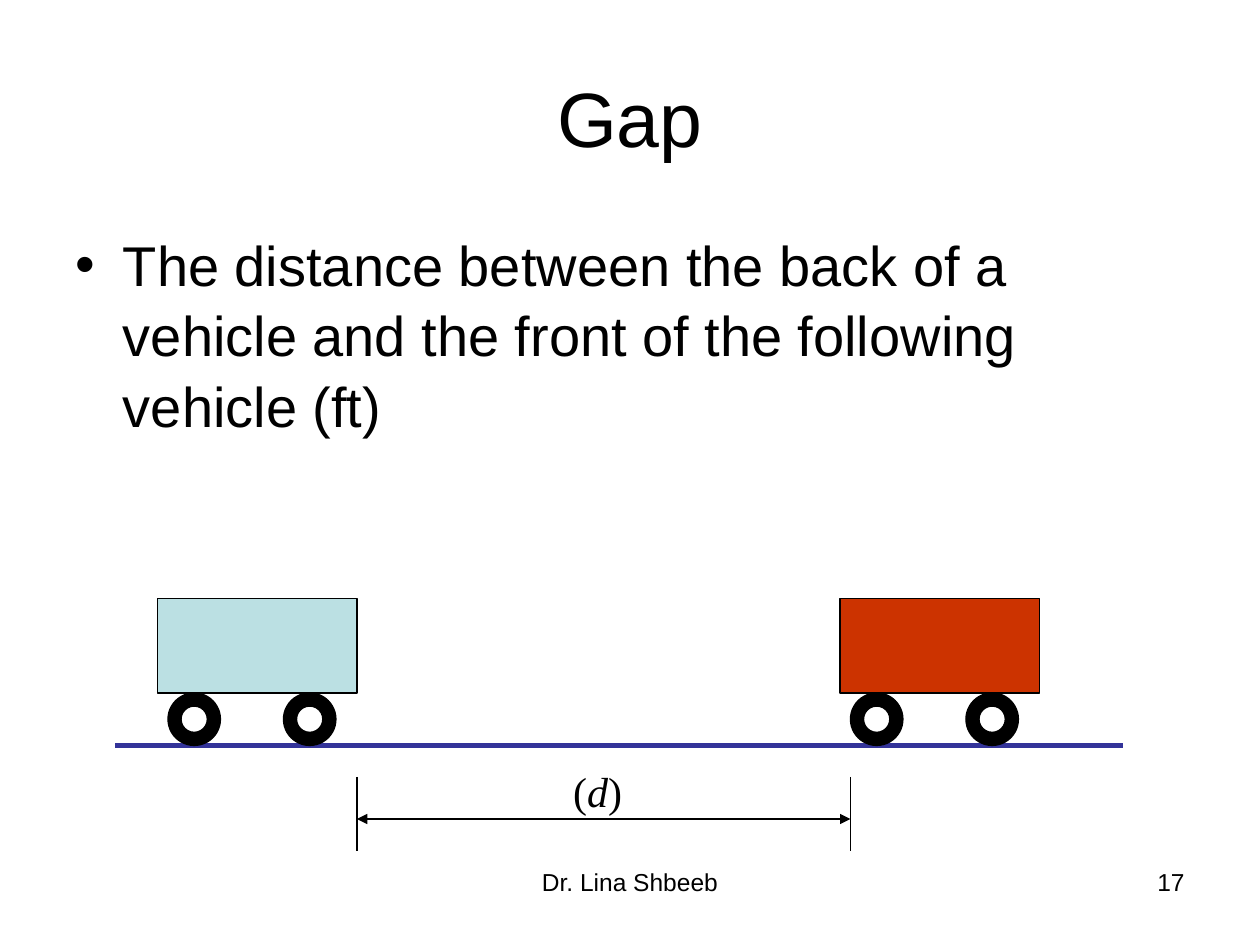
from dataclasses import dataclass

from lxml.etree import SubElement
from pptx import Presentation
from pptx.dml.color import RGBColor
from pptx.enum.shapes import MSO_CONNECTOR, MSO_SHAPE
from pptx.enum.text import MSO_ANCHOR, MSO_AUTO_SIZE, PP_ALIGN
from pptx.oxml.ns import qn
from pptx.util import Pt


@dataclass(frozen=True)
class Theme:
    ink: str = "000000"
    road: str = "333399"
    leader: str = "BBE0E3"
    follower: str = "CC3300"
    sans: str = "Arial"
    serif: str = "Times New Roman"
    title_size: float = 44
    body_size: float = 32
    label_size: float = 24
    footer_size: float = 14
    thin: float = 0.75
    thick: float = 3


def apply(target, values):
    for name, value in values.items():
        setattr(target, name, value)


class SlideBuilder:
    def __init__(self, slide, theme):
        self.slide = slide
        self.theme = theme

    def format_text(self, frame, size, font, align, anchor=MSO_ANCHOR.TOP, spacing=None):
        apply(frame, {"word_wrap": True, "auto_size": MSO_AUTO_SIZE.NONE,
                      "vertical_anchor": anchor})
        paragraph = frame.paragraphs[0]
        apply(paragraph, {"alignment": align, "space_before": Pt(0),
                          "line_spacing": spacing})
        for run in paragraph.runs:
            apply(run.font, {"size": Pt(size), "name": font})
            run.font.color.rgb = RGBColor.from_string(self.theme.ink)

    def place(self, placeholder, left, top, width, height):
        apply(placeholder, {"left": Pt(left), "top": Pt(top),
                            "width": Pt(width), "height": Pt(height)})

    def title(self, text, box):
        heading = self.slide.shapes.title
        self.place(heading, *box)
        heading.text_frame.text = text
        self.format_text(heading.text_frame, self.theme.title_size, self.theme.sans,
                         PP_ALIGN.CENTER, MSO_ANCHOR.MIDDLE)

    def bullet(self, text, box, indent):
        body = self.slide.placeholders[1]
        self.place(body, *box)
        body.text_frame.text = text
        properties = body.text_frame.paragraphs[0]._p.get_or_add_pPr()
        properties.set("marL", str(Pt(indent)))
        properties.set("indent", str(-Pt(indent)))
        SubElement(properties, qn("a:buChar")).set("char", "•")
        self.format_text(body.text_frame, self.theme.body_size, self.theme.sans,
                         PP_ALIGN.LEFT, spacing=1.05)

    def text(self, parts, box, size, font, align):
        """Add one line of text from (words, italic) parts."""
        frame = self.slide.shapes.add_textbox(*map(Pt, box)).text_frame
        for words, italic in parts:
            run = frame.paragraphs[0].add_run()
            run.text = words
            run.font.italic = italic
        self.format_text(frame, size, font, align)

    def shape(self, preset, box, fill):
        shape = self.slide.shapes.add_shape(preset, *map(Pt, box))
        shape.shadow.inherit = False
        shape.fill.solid()
        shape.fill.fore_color.rgb = RGBColor.from_string(fill)
        shape.line.color.rgb = RGBColor.from_string(self.theme.ink)
        shape.line.width = Pt(self.theme.thin)
        return shape

    def line(self, start, end, color, width, arrows=False):
        line = self.slide.shapes.add_connector(
            MSO_CONNECTOR.STRAIGHT, *map(Pt, (*start, *end)))
        line.line.color.rgb = RGBColor.from_string(color)
        line.line.width = Pt(width)
        if arrows:
            for end_tag in ("a:headEnd", "a:tailEnd"):
                SubElement(line.line._get_or_add_ln(), qn(end_tag)).set("type", "triangle")
        SubElement(line._element.spPr, qn("a:effectLst"))

    def vehicle(self, left, top, color):
        width, height, wheel = 114, 54, 30
        self.shape(MSO_SHAPE.RECTANGLE, (left, top, width, height), color)
        for offset in (6, 72):
            tyre = self.shape(MSO_SHAPE.DONUT,
                              (left + offset, top + height, wheel, wheel), self.theme.ink)
            tyre.adjustments[0] = 0.25


def main():
    theme = Theme()
    presentation = Presentation()
    apply(presentation, {"slide_width": Pt(720), "slide_height": Pt(540)})
    builder = SlideBuilder(
        presentation.slides.add_slide(presentation.slide_layouts[1]), theme)

    builder.title("Gap", (36, 21.6, 648, 90))
    builder.bullet("The distance between the back of a vehicle and the front of "
                   "the following vehicle (ft)", (36, 126, 648, 356.4), indent=27)

    road_y = 426
    builder.line((66, road_y), (642, road_y), theme.road, theme.thick)
    for left, color in ((90, theme.leader), (480, theme.follower)):
        builder.vehicle(left, road_y - 84, color)

    gap_start, gap_end, gap_y = 204, 486, 468
    for x in (gap_end, gap_start):
        builder.line((x, 444), (x, 486), theme.ink, theme.thin)
    builder.line((gap_start, gap_y), (gap_end, gap_y), theme.ink, theme.thin, arrows=True)
    builder.text((("(", False), ("d", True), (")", False)), (320.4, 434, 54, 36),
                 theme.label_size, theme.serif, PP_ALIGN.LEFT)

    footer_y, footer_height = 492, 37.5
    for words, left, width, align in (
            ("Dr. Lina Shbeeb", 246, 228, PP_ALIGN.CENTER),
            ("17", 516, 168, PP_ALIGN.RIGHT)):
        builder.text(((words, False),), (left, footer_y, width, footer_height),
                     theme.footer_size, theme.sans, align)

    presentation.save("out.pptx")


if __name__ == "__main__":
    main()
